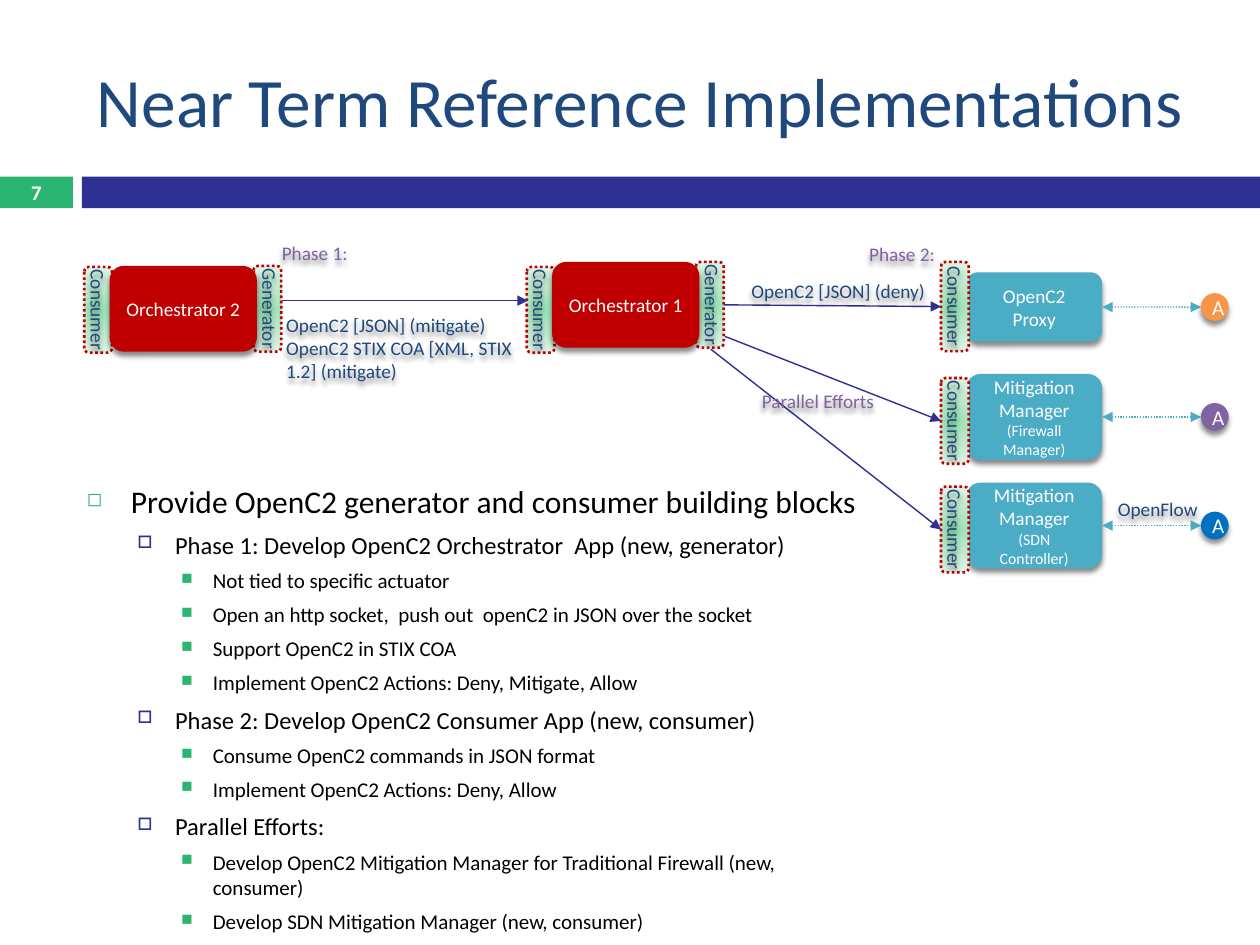
from lxml import etree
from pptx import Presentation
from pptx.dml.color import RGBColor
from pptx.enum.dml import MSO_LINE
from pptx.enum.shapes import MSO_CONNECTOR, MSO_SHAPE
from pptx.enum.text import MSO_ANCHOR, PP_ALIGN
from pptx.oxml import parse_xml
from pptx.oxml.ns import nsdecls, qn
from pptx.util import Cm, Pt

NAVY, GREEN, INDIGO = "1F497D", "2AB573", "2E3092"
RED, TEAL, PURPLE, WHITE = "C00000", "4BACC6", "8064A2", "FFFFFF"

# Per level: size, left margin, hanging indent (cm), space before, bullet, colour, bullet %
LEVELS = [
    (18, 0.89, 0.89, 7, "◻", GREEN, 60),
    (14, 1.78, 0.76, 5.5, "□", INDIGO, 70),
    (12, 2.54, 0.64, 5, "■", GREEN, 75),
]
BODY = [
    (0, "Provide OpenC2 generator and consumer building blocks"),
    (1, "Phase 1: Develop OpenC2 Orchestrator  App (new, generator)"),
    (2, "Not tied to specific actuator"),
    (2, "Open an http socket,  push out  openC2 in JSON over the socket"),
    (2, "Support OpenC2 in STIX COA"),
    (2, "Implement OpenC2 Actions: Deny, Mitigate, Allow"),
    (1, "Phase 2: Develop OpenC2 Consumer App (new, consumer)"),
    (2, "Consume OpenC2 commands in JSON format"),
    (2, "Implement OpenC2 Actions: Deny, Allow"),
    (1, "Parallel Efforts:"),
    (2, "Develop OpenC2 Mitigation Manager for Traditional Firewall (new, consumer)"),
    (2, "Develop SDN Mitigation Manager (new, consumer)"),
]
LABELS = [
    ((14.78, 5.64, 4.24, 0.43), "OpenC2 [JSON] (deny)", NAVY, PP_ALIGN.CENTER),
    ((22.02, 9.86, 2.64, 0.81), "OpenFlow", NAVY, PP_ALIGN.CENTER),
    ((5.28, 4.9, 2.13, 0.38), "Phase 1:", PURPLE, PP_ALIGN.CENTER),
    ((17.12, 4.93, 2.13, 0.38), "Phase 2:", PURPLE, PP_ALIGN.CENTER),
    ((5.44, 6.2, 5.56, 1.63),
     "OpenC2 [JSON] (mitigate)\nOpenC2 STIX COA [XML, STIX 1.2] (mitigate)",
     NAVY, PP_ALIGN.LEFT),
    ((14.66, 7.57, 3.66, 1.02), "Parallel Efforts", PURPLE, PP_ALIGN.CENTER),
]


def rgb(value):
    return RGBColor.from_string(value)


def lengths(box):
    return [Cm(v) for v in box]


def format_run(r, size, color, bold=False):
    r.font.name, r.font.size, r.font.bold = "Calibri", Pt(size), bold
    r.font.color.rgb = rgb(color)


def add_block(s, kind, box, fill=None, shadow=True):
    sp = s.shapes.add_shape(kind, *lengths(box))
    sp.line.fill.background()
    if fill:
        sp.fill.solid()
        sp.fill.fore_color.rgb = rgb(fill)
    else:
        sp.fill.background()
    sp.shadow.inherit = False
    if shadow:
        sp.element.spPr.find(qn("a:effectLst")).append(parse_xml(
            f'<a:outerShdw {nsdecls("a")} blurRad="38100" dist="30480" dir="5400000">'
            '<a:srgbClr val="000000"><a:alpha val="45000"/></a:srgbClr></a:outerShdw>'))
    return sp


def write(sp, text, size=11, color=WHITE, align=PP_ALIGN.CENTER, bold=False):
    tf = sp.text_frame
    tf.text, tf.word_wrap, tf.vertical_anchor = text, True, MSO_ANCHOR.MIDDLE
    for p in tf.paragraphs:
        p.alignment = align
        for r in p.runs:
            format_run(r, size, color, bold)


def add_label(s, box, text, color=NAVY, align=PP_ALIGN.CENTER):
    sp = add_block(s, MSO_SHAPE.ROUNDED_RECTANGLE, box)
    write(sp, text, color=color, align=align)
    return sp


def add_port(s, box, text, shift=0):
    """Dotted strip with its name running downwards."""
    x, y, w, h = box
    sp = add_block(s, MSO_SHAPE.ROUNDED_RECTANGLE, box, shadow=False)
    stops = "".join(f'<a:gs pos="{pos}"><a:srgbClr val="{c}"/></a:gs>' for pos, c in
                    ((0, "93E1B0"), (50000, "BEEACE"), (100000, "E0F4E7")))
    spPr = sp.element.spPr
    spPr.replace(spPr.find(qn("a:noFill")), parse_xml(
        f'<a:gradFill {nsdecls("a")}><a:gsLst>{stops}</a:gsLst><a:path path="circle">'
        '<a:fillToRect l="50000" t="50000" r="50000" b="50000"/></a:path></a:gradFill>'))
    sp.line.color.rgb, sp.line.width = rgb(RED), Pt(1.5)
    sp.line.dash_style = MSO_LINE.ROUND_DOT
    length, depth = 2.6, 0.8
    label = add_label(s, (x + w / 2 + shift - length / 2, y + h / 2 - depth / 2,
                          length, depth), text)
    label.rotation = 90
    return sp


def add_arrow(s, start, end, color=INDIGO, dotted=False, source=None, target=None):
    """Arrow joined to the right side of source and the left side of target, if given."""
    c = s.shapes.add_connector(MSO_CONNECTOR.STRAIGHT, *lengths(start + end))
    if source is not None:
        c.begin_connect(source, 3)
    if target is not None:
        c.end_connect(target, 1)
    c.line.color.rgb, c.line.width = rgb(color), Pt(0.79)
    spPr = c.element.spPr
    if dotted:
        c.line.dash_style = MSO_LINE.ROUND_DOT
    for tag in ("a:headEnd", "a:tailEnd") if dotted else ("a:tailEnd",):
        etree.SubElement(spPr.find(qn("a:ln")), qn(tag), type="triangle")
    etree.SubElement(spPr, qn("a:effectLst"))


def add_header(s, box):
    x, y, w, h = box
    title = s.shapes.title
    title.left, title.top, title.width, title.height = lengths((x + 1.7, y + 0.64, 22.66, 2.74))
    write(title, "Near Term Reference Implementations", 39.6, NAVY, PP_ALIGN.LEFT)
    band_y, band_h = y + h - 0.64, 0.64
    number = add_block(s, MSO_SHAPE.RECTANGLE, (x, band_y, 1.47, band_h), GREEN, False)
    write(number, "7", 11.9, bold=True)
    add_block(s, MSO_SHAPE.RECTANGLE, (x + 1.65, band_y, w - 1.65, band_h), INDIGO, False)


def add_body(s, box):
    tf = s.shapes.add_textbox(*lengths(box)).text_frame
    tf.word_wrap = True
    for i, (level, text) in enumerate(BODY):
        size, margin, hang, before, char, color, percent = LEVELS[level]
        p = tf.add_paragraph() if i else tf.paragraphs[0]
        p.text, p.level, p.space_before = text, level, Pt(before)
        format_run(p.runs[0], size, "000000")
        pPr = p.runs[0].font._element.getparent().getparent().get_or_add_pPr()
        pPr.set("marL", str(Cm(margin)))
        pPr.set("indent", str(-Cm(hang)))
        color_tag = etree.SubElement(pPr, qn("a:buClr"))
        etree.SubElement(color_tag, qn("a:srgbClr"), val=color)
        etree.SubElement(pPr, qn("a:buSzPct"), val=str(percent * 1000))
        etree.SubElement(pPr, qn("a:buChar"), char=char)


def add_orchestrator(s, box, name, consumer_drop):
    x, y, w, h = box
    add_port(s, (x - 0.51, y + consumer_drop, 0.56, h), "Consumer")
    generator = add_port(s, (x + w - 0.07, y, 0.56, h), "Generator", 0.05)
    write(add_block(s, MSO_SHAPE.ROUNDED_RECTANGLE, box, RED), name)
    return generator


def add_actuator(s, box, name, detail, color, port_top, port_h):
    """Consumer block with its port on the left and actuator circle on the right."""
    x, y, w, h = box
    block = add_block(s, MSO_SHAPE.ROUNDED_RECTANGLE, box, TEAL)
    write(block, name)
    if detail:
        r = block.text_frame.paragraphs[0].add_run()
        r.text = detail
        format_run(r, 9, WHITE)
    port = add_port(s, (x - 0.51, y + port_top, 0.56, port_h), "Consumer")
    middle, circle_x, size = y + h / 2, x + w + 1.99, 0.56
    add_arrow(s, (x + w, middle), (circle_x, middle), TEAL, True, source=block)
    circle = add_block(s, MSO_SHAPE.OVAL, (circle_x, middle - size / 2, size, size), color)
    write(circle, "A", 12)
    return port


def add_diagram(s):
    add_orchestrator(s, (2.21, 5.36, 2.97, 1.73), "Orchestrator 2", 0.02)
    generator = add_orchestrator(s, (11.13, 5.28, 2.97, 1.73), "Orchestrator 1", 0.1)
    proxy = add_actuator(s, (19.48, 5.49, 2.74, 1.4), "OpenC2 Proxy", "",
                         "F79646", -0.21, 1.8)
    firewall = add_actuator(s, (19.48, 7.54, 2.74, 1.73), "Mitigation Manager ",
                            "(Firewall Manager)", PURPLE, 0.08, 1.73)
    sdn = add_actuator(s, (19.48, 9.73, 2.74, 1.73), "Mitigation Manager ",
                       "(SDN Controller)", "0070C0", 0.08, 1.73)
    add_arrow(s, (5.69, 6.06), (10.64, 6.06))
    add_arrow(s, (14.61, 6.15), (18.97, 6.18), source=generator, target=proxy)
    add_arrow(s, (14.61, 6.78), (18.97, 8.48), target=firewall)
    add_arrow(s, (14.33, 7.04), (18.97, 10.67), target=sdn)
    for label in LABELS:
        add_label(s, *label)


def main():
    prs = Presentation()
    prs.slide_width, prs.slide_height = Cm(25.4), Cm(19.05)
    s = prs.slides.add_slide(prs.slide_layouts[5])
    add_header(s, (0, 0, 25.4, 4.2))
    add_body(s, (1.5, 9.6, 16.28, 9.19))
    add_diagram(s)
    prs.save("out.pptx")


if __name__ == "__main__":
    main()
